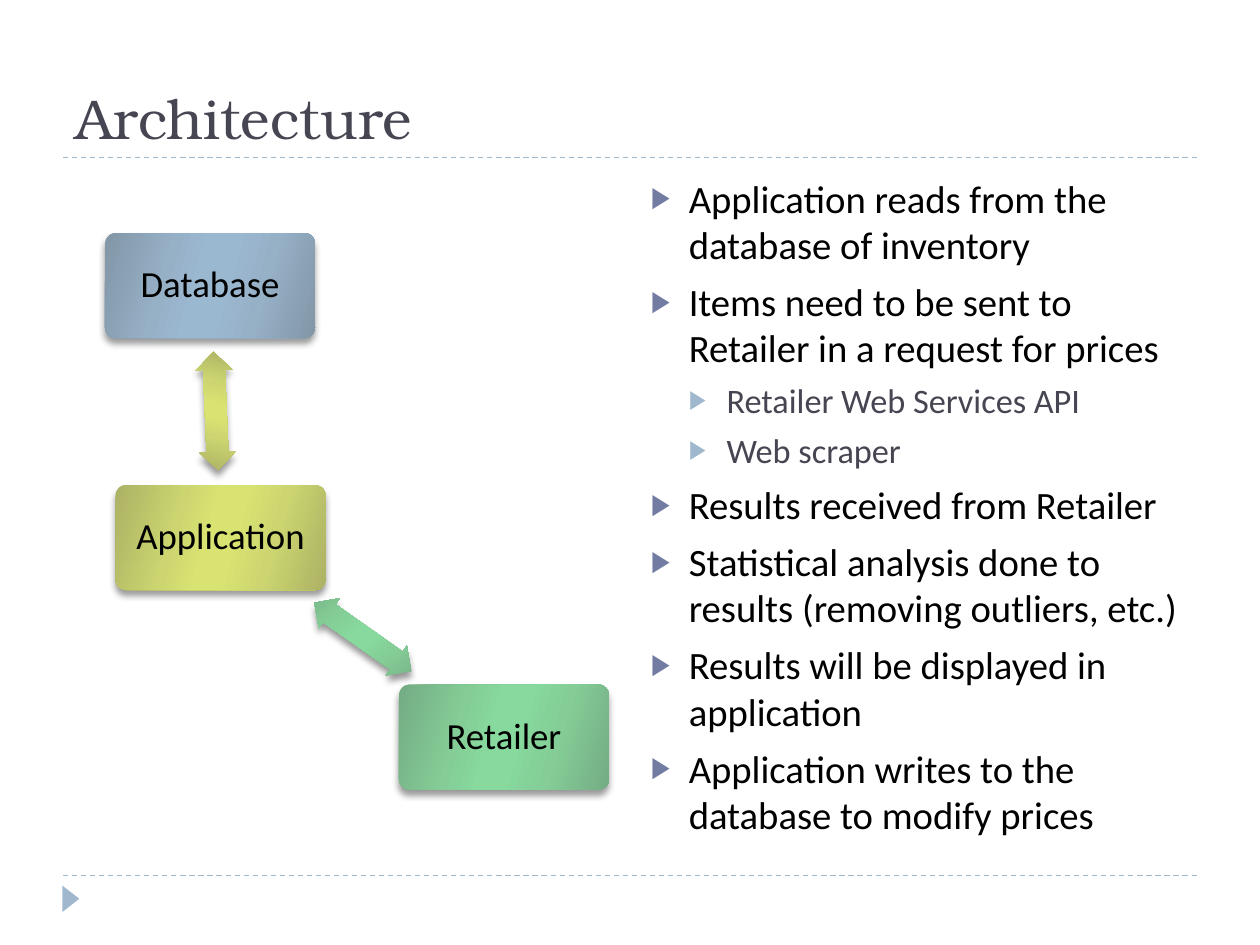
import pptx
import pptx.util
import pptx.dml.color
import pptx.enum.dml
import pptx.enum.shapes
import pptx.enum.text
import pptx.oxml
import pptx.oxml.ns

SHAPES = pptx.enum.shapes.MSO_SHAPE
ALIGN = pptx.enum.text.PP_ALIGN
ANCHOR = pptx.enum.text.MSO_ANCHOR
COLUMNS, ROWS = 12, 9
CELL = pptx.util.Inches(10) / COLUMNS

BLUE = ("8297A8", "96B0C6", "9BB8D1")
GREEN = ("74AC83", "84CD97", "87D99D")
LIME = ("ACB264", "CCD570", "D9E371")

POINTS = [
    (0, "Application reads from the database of inventory"),
    (0, "Items need to be sent to Retailer in a request for prices"),
    (1, "Retailer Web Services API"),
    (1, "Web scraper"),
    (0, "Results received from Retailer"),
    (0, "Statistical analysis done to results (removing outliers, etc.)"),
    (0, "Results will be displayed in application"),
    (0, "Application writes to the database to modify prices"),
]
LEVELS = [
    dict(size=22.1, color="000000", before=6, bullet="727CA3"),
    dict(size=19.6, color="464653", before=5, bullet="9FB8CD"),
]


def grid(*cells):
    return [round(cell * CELL) for cell in cells]


def rgb(code):
    return pptx.dml.color.RGBColor.from_string(code)


def add_xml(parent, markup):
    namespaces = pptx.oxml.ns.nsdecls("a")
    element = pptx.oxml.parse_xml(f"<a:root {namespaces}>{markup}</a:root>")
    for child in list(element):
        parent.append(child)


def write(paragraph, words, size, color="000000", font="Calibri",
          align=ALIGN.LEFT, before=0, spacing=1.0):
    paragraph.alignment = align
    paragraph.line_spacing = spacing
    paragraph.space_before = pptx.util.Pt(before)
    run = paragraph.add_run()
    run.text = words
    run.font.name = font
    run.font.size = pptx.util.Pt(size)
    run.font.color.rgb = rgb(color)


def position(shape, box):
    shape.left, shape.top, shape.width, shape.height = grid(*box)


def add_block(slide, kind, box, shades, adjustments, rotation=0):
    block = slide.shapes.add_shape(kind, *grid(*box))
    block.rotation = rotation
    for index, value in enumerate(adjustments):
        block.adjustments[index] = value
    block.line.fill.background()
    dark, middle, light = shades
    stops = zip((0, 30, 45, 55, 73, 100), (dark, middle, light, light, middle, dark))
    block.fill.gradient()
    gradient = block.element.spPr.find(pptx.oxml.ns.qn("a:gradFill"))
    for child in list(gradient):
        gradient.remove(child)
    markup = "".join(f'<a:gs pos="{place * 1000}"><a:srgbClr val="{code}"/></a:gs>'
                     for place, code in stops)
    add_xml(gradient, f'<a:gsLst>{markup}</a:gsLst><a:lin ang="960000" scaled="0"/>')
    add_xml(block.element.spPr,
            '<a:effectLst><a:outerShdw blurRad="50800" dist="43000" dir="5400000" '
            'rotWithShape="0"><a:srgbClr val="000000"><a:alpha val="40000"/>'
            '</a:srgbClr></a:outerShdw></a:effectLst>')
    return block


def add_node(slide, words, box, shades):
    frame = add_block(slide, SHAPES.ROUNDED_RECTANGLE, box, shades, [0.1]).text_frame
    frame.word_wrap = True
    frame.vertical_anchor = ANCHOR.MIDDLE
    frame.margin_left = frame.margin_right = pptx.util.Inches(0.09)
    frame.margin_top = frame.margin_bottom = pptx.util.Inches(0.09)
    write(frame.paragraphs[0], words, 21, align=ALIGN.CENTER, spacing=0.9)


def add_diagram(slide, left, top):
    nodes = [("Database", 0, 0, BLUE), ("Retailer", 2.8, 4.3, GREEN),
             ("Application", 0.1, 2.4, LIME)]
    links = [(1.89, 3.67, 215.2, GREEN), (0.49, 1.52, 267.6, LIME)]
    for words, column, row, shades in nodes:
        add_node(slide, words, (left + column, top + row, 2, 1), shades)
    for column, row, rotation, shades in links:
        add_block(slide, SHAPES.LEFT_RIGHT_ARROW, (left + column, top + row, 1.13, 0.35),
                  shades, [0.6, 0.5], rotation)


def add_frame(slide, left, right, rows):
    for row in rows:
        rule = slide.shapes.add_connector(pptx.enum.shapes.MSO_CONNECTOR.STRAIGHT,
                                          *grid(left, row, right, row))
        rule.line.color.rgb = rgb("9FB8CD")
        rule.line.width = pptx.util.Pt(0.75)
        rule.line.dash_style = pptx.enum.dml.MSO_LINE.DASH
        add_xml(rule.element.spPr, "<a:effectLst/>")
    marker = slide.shapes.add_shape(SHAPES.ISOSCELES_TRIANGLE,
                                    *grid(left - 0.05, rows[-1] + 0.14, 0.25, 0.16))
    marker.rotation = 90
    marker.shadow.inherit = False
    marker.fill.solid()
    marker.fill.fore_color.rgb = rgb("9FB8CD")
    marker.line.fill.background()


def fill_title(title, box):
    position(title, box)
    title.text_frame.vertical_anchor = ANCHOR.BOTTOM
    title.text_frame.auto_size = pptx.enum.text.MSO_AUTO_SIZE.NONE
    write(title.text_frame.paragraphs[0], "Architecture", 32, color="464653",
          font="TeX Gyre Bonum")


def fill_points(body, box):
    position(body, box)
    frame = body.text_frame
    frame.auto_size = pptx.enum.text.MSO_AUTO_SIZE.NONE
    indent = pptx.util.Inches(0.3)
    for index, (level, words) in enumerate(POINTS):
        paragraph = frame.add_paragraph() if index else frame.paragraphs[0]
        look = dict(LEVELS[level])
        bullet = look.pop("bullet")
        paragraph.level = level
        write(paragraph, words, **look)
        properties = paragraph._p.get_or_add_pPr()
        properties.set("marL", str(indent * (level + 1)))
        properties.set("indent", str(-indent))
        add_xml(properties, f'<a:buClr><a:srgbClr val="{bullet}"/></a:buClr>'
                            '<a:buSzPct val="76000"/><a:buChar char="▶"/>')


def main():
    deck = pptx.Presentation()
    deck.slide_width, deck.slide_height = grid(COLUMNS, ROWS)
    slide = deck.slides.add_slide(deck.slide_layouts[1])
    add_frame(slide, 0.6, 11.4, (1.5, 8.34))
    fill_title(slide.shapes.title, (0.6, 0.3, 10.8, 1.2))
    add_diagram(slide, 1, 2.22)
    fill_points(slide.placeholders[1], (6.08, 1.6, 5.3, 6.48))
    deck.save("out.pptx")


if __name__ == "__main__":
    main()
